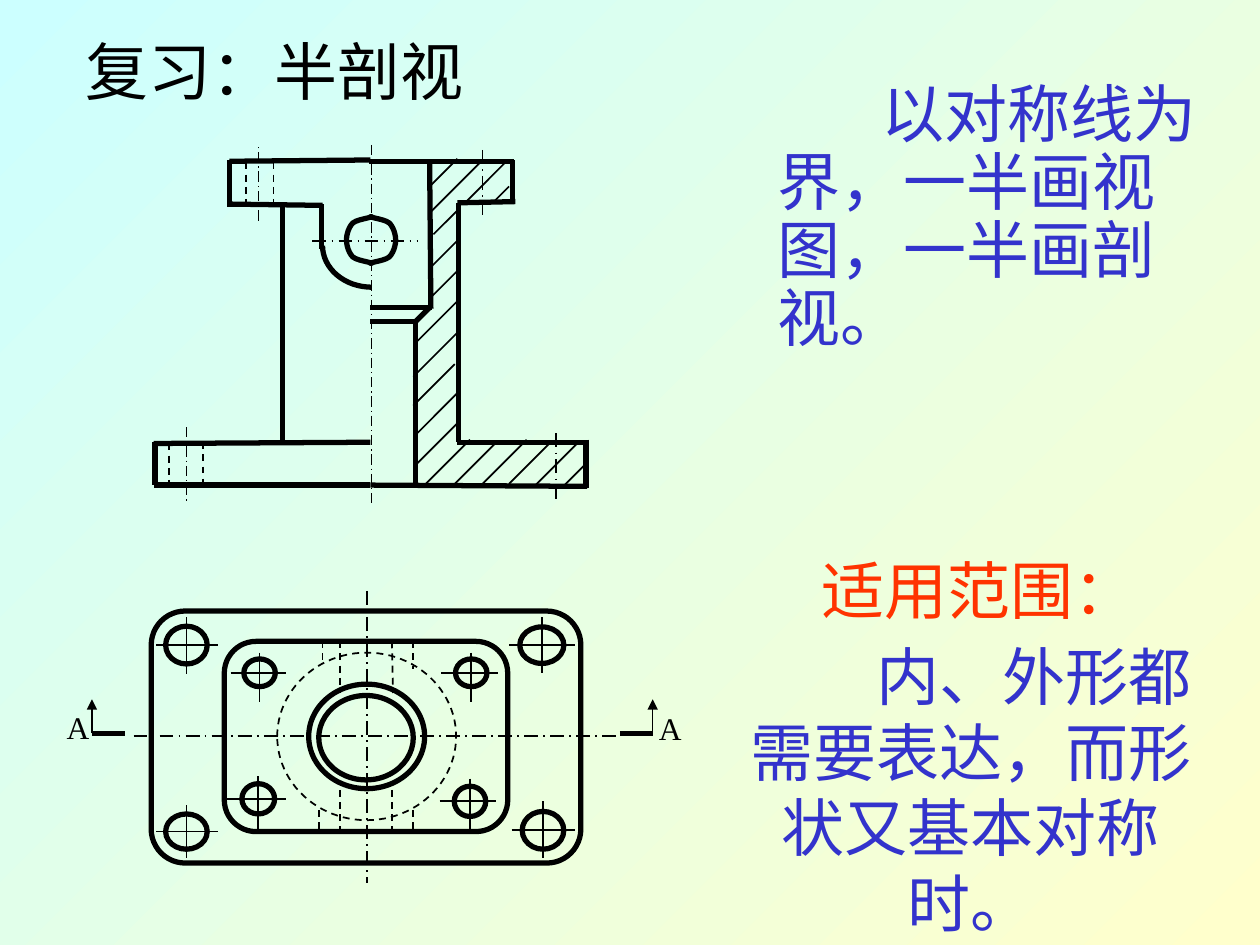
from math import cos, pi, sin

from lxml.etree import SubElement
from pptx import Presentation
from pptx.dml.color import RGBColor
from pptx.enum.dml import MSO_LINE
from pptx.enum.shapes import MSO_CONNECTOR, MSO_SHAPE
from pptx.enum.text import MSO_ANCHOR, MSO_AUTO_SIZE, PP_ALIGN
from pptx.oxml.ns import qn
from pptx.util import Inches, Pt

INK, BLUE, ORANGE = "000000", "3333CC", "FF3300"
CENTRE, HIDDEN = MSO_LINE.LONG_DASH_DOT, MSO_LINE.DASH


def stroke(outline, width, dash=None):
    outline.line.color.rgb = RGBColor.from_string(INK)
    outline.line.width = Pt(width)
    if dash:
        outline.line.dash_style = dash
    SubElement(outline._element.spPr, qn("a:effectLst"))
    return outline


def draw_lines(view, width, dash, segments):
    return [
        stroke(view.shapes.add_connector(MSO_CONNECTOR.STRAIGHT, *map(Inches, ends)), width, dash)
        for ends in segments
    ]


prs = Presentation()
prs.slide_width, prs.slide_height = Inches(10), Inches(7.5)
slide = prs.slides.add_slide(prs.slide_layouts[5])

backdrop = slide.background.fill
backdrop.gradient()
backdrop.gradient_angle = 315
for stop, position, tint in zip(backdrop.gradient_stops, (0, 1), ("CCFFFF", "FFFFCC")):
    stop.position = position
    stop.color.rgb = RGBColor.from_string(tint)

front = slide.shapes.add_group_shape()
draw_lines(front, 3, None, [
    (1.22, 3.85, 2.94, 3.85), (2.94, 3.85, 4.66, 3.86),
    (1.22, 3.52, 2.94, 3.51), (3.63, 3.51, 4.66, 3.51),
    (1.23, 3.51, 1.23, 3.85), (4.65, 3.49, 4.65, 3.87),
    (1.82, 1.28, 2.94, 1.27), (2.93, 1.28, 4.08, 1.28),
    (1.82, 1.62, 2.56, 1.63), (3.63, 1.61, 4.09, 1.6),
    (1.82, 1.27, 1.82, 1.64), (4.07, 1.27, 4.07, 1.62),
    (2.24, 1.62, 2.24, 3.52), (3.64, 1.61, 3.64, 3.51),
    (2.55, 1.62, 2.55, 1.98), (3.41, 1.29, 3.42, 2.45),
    (2.94, 2.44, 3.43, 2.44), (2.94, 2.55, 3.3, 2.55),
    (3.41, 2.44, 3.3, 2.55), (3.3, 2.55, 3.3, 3.85),
])
hatch = [
    (3.41, 1.48, 0.22), (3.41, 1.69, 0.4), (3.7, 1.6, 0.33), (3.91, 1.61, 0.13),
    (3.44, 1.86, 0.21), (3.43, 2.11, 0.21), (3.42, 2.36, 0.21), (3.3, 2.72, 0.34),
    (3.28, 2.99, 0.35), (3.28, 3.22, 0.33), (3.3, 3.45, 0.33), (3.29, 3.7, 0.35),
    (3.36, 3.86, 0.37), (3.6, 3.85, 0.35), (3.81, 3.86, 0.37), (4.04, 3.84, 0.34),
    (4.25, 3.85, 0.35), (4.48, 3.85, 0.16),
]
draw_lines(front, 1, None, [(x, y, x + run, y - run) for x, y, run in hatch])
draw_lines(front, 0.75, CENTRE, [
    (2.95, 1.15, 2.95, 3.99), (1.48, 3.39, 1.48, 3.99), (2.05, 1.75, 2.05, 1.15),
])
draw_lines(front, 1, CENTRE, [
    (3.83, 1.19, 3.83, 1.71), (4.41, 3.44, 4.41, 3.99), (2.48, 1.91, 3.31, 1.91),
])
draw_lines(front, 1, HIDDEN, [
    (1.34, 3.52, 1.34, 3.86), (1.61, 3.51, 1.61, 3.85),
    (1.95, 1.29, 1.95, 1.63), (2.17, 1.29, 2.17, 1.64),
])

bore_curves = [
    [(2.94, 1.72), (2.95, 1.73), (3.05, 1.74), (3.09, 1.77)],
    [(3.09, 1.77), (3.12, 1.8), (3.14, 1.86), (3.14, 1.9)],
]
steps = 6
quarter = [
    tuple(
        (1 - t) ** 3 * a + 3 * (1 - t) ** 2 * t * b + 3 * (1 - t) * t ** 2 * c + t ** 3 * d
        for a, b, c, d in zip(*curve)
    )
    for curve in bore_curves
    for t in [step / steps for step in range(steps + 1)]
]
right = quarter + [(x, 3.81 - y) for x, y in reversed(quarter)]
bore = right + [(5.89 - x, y) for x, y in reversed(right)]
turns = [step * pi / 32 for step in range(17)]
boss = [(2.95 - 0.39 * sin(turn), 1.95 + 0.33 * cos(turn)) for turn in turns]
for rim, closed in [(bore, True), (boss, False)]:
    points = [(Inches(x), Inches(y)) for x, y in rim]
    builder = front.shapes.build_freeform(*points[0])
    builder.add_line_segments(points[1:], close=closed)
    stroke(builder.convert_to_shape(), 3).fill.background()

plan = slide.shapes.add_group_shape()
holes = [
    (1.48, 6.6, 0.33, 0.28, 1.24, 1.73, 6.39, 6.81),
    (1.48, 5.12, 0.33, 0.3, 1.24, 1.73, 4.9, 5.35),
    (4.31, 6.59, 0.33, 0.3, 4.06, 4.56, 6.36, 6.81),
    (4.3, 5.12, 0.35, 0.29, 4.04, 4.56, 4.9, 5.34),
    (2.05, 6.34, 0.26, 0.24, 1.8, 2.27, 6.16, 6.58),
    (2.06, 5.34, 0.25, 0.22, 1.83, 2.27, 5.18, 5.57),
    (3.73, 6.36, 0.25, 0.24, 3.49, 3.94, 6.18, 6.6),
    (3.74, 5.34, 0.25, 0.22, 3.5, 3.95, 5.18, 5.57),
]
outlines = [
    (MSO_SHAPE.ROUNDED_RECTANGLE, 1.2, 4.85, 3.41, 2, 3, None, 0.135),
    (MSO_SHAPE.ROUNDED_RECTANGLE, 1.78, 5.09, 2.25, 1.51, 3, None, 0.167),
    (MSO_SHAPE.OVAL, 2.2, 5.18, 1.42, 1.33, 1, HIDDEN, None),
    (MSO_SHAPE.OVAL, 2.45, 5.43, 0.92, 0.83, 3, None, None),
    (MSO_SHAPE.OVAL, 2.53, 5.52, 0.75, 0.67, 3, None, None),
]
for x, y, width, height, left, right_end, top, bottom in holes:
    draw_lines(plan, 1, None, [(left, y, right_end, y), (x, top, x, bottom)])
    outlines.append((MSO_SHAPE.OVAL, x - width / 2, y - height / 2, width, height, 3, None, None))
for preset, left, top, width, height, weight, dash, rounding in outlines:
    edge = plan.shapes.add_shape(preset, *map(Inches, (left, top, width, height)))
    stroke(edge, weight, dash).fill.background()
    if rounding:
        edge.adjustments[0] = rounding

draw_lines(plan, 1, CENTRE, [(1.06, 5.84, 4.89, 5.84), (2.91, 4.69, 2.91, 7.01)])
draw_lines(plan, 1, HIDDEN, [
    (2.56, 5.09, 2.56, 5.27), (2.7, 5.09, 2.7, 5.5),
    (3.11, 5.09, 3.12, 5.5), (3.28, 5.09, 3.28, 5.31),
    (2.53, 6.43, 2.53, 6.6), (2.7, 6.27, 2.7, 6.6),
    (3.11, 6.27, 3.11, 6.6), (3.28, 6.43, 3.28, 6.6),
])
draw_lines(plan, 3, None, [(0.73, 5.82, 0.99, 5.82), (4.92, 5.82, 5.18, 5.82)])
for arrow in draw_lines(plan, 0.75, None, [(x, 5.82, x, 5.55) for x in (0.73, 5.18)]):
    SubElement(arrow.line._get_or_add_ln(), qn("a:tailEnd"), type="triangle")

title = slide.shapes.title
title.left, title.top, title.width, title.height = map(Inches, (0.58, 0.21, 3.2, 0.7))
title.text_frame.margin_left = title.text_frame.margin_right = 0
captions = [(title, "复习：半剖视", 36, INK, False, PP_ALIGN.CENTER, 0, 1)]
for owner, area, words, size, colour, wrap, align, indent, spacing in [
    (slide, (6.42, 4.33, 2.7, 0.7), "适用范围：", 36, ORANGE, False, PP_ALIGN.CENTER, 0, 1),
    (slide, (5.78, 5.31, 3.85, 1.9), "内、外形都需要表达，而形状又基本对称时。",
     36, BLUE, True, PP_ALIGN.CENTER, 1, 1),
    (slide, (6.07, 0.61, 3.6, 2.26), "以对称线为界，一半画视图，一半画剖视。",
     36, BLUE, True, PP_ALIGN.LEFT, 0.83, 0.9),
    (plan, (0.43, 5.57, 0.38, 0.4), "A", 18, INK, False, PP_ALIGN.CENTER, 0, 1),
    (plan, (5.13, 5.58, 0.38, 0.4), "A", 18, INK, False, PP_ALIGN.CENTER, 0, 1),
]:
    caption = owner.shapes.add_textbox(*map(Inches, area))
    captions.append((caption, words, size, colour, wrap, align, indent, spacing))
for caption, words, size, colour, wrap, align, indent, spacing in captions:
    frame = caption.text_frame
    frame.text = words
    frame.word_wrap = wrap
    frame.auto_size = MSO_AUTO_SIZE.SHAPE_TO_FIT_TEXT
    frame.vertical_anchor = MSO_ANCHOR.MIDDLE
    paragraph = frame.paragraphs[0]
    paragraph.alignment = align
    paragraph.line_spacing = spacing
    layout = paragraph._p.get_or_add_pPr()
    layout.set("indent", str(Inches(indent)))
    layout.set("hangingPunct", "0")
    paragraph.font.size = Pt(size)
    paragraph.font.name = "Times New Roman"
    paragraph.font.color.rgb = RGBColor.from_string(colour)

prs.save("out.pptx")
